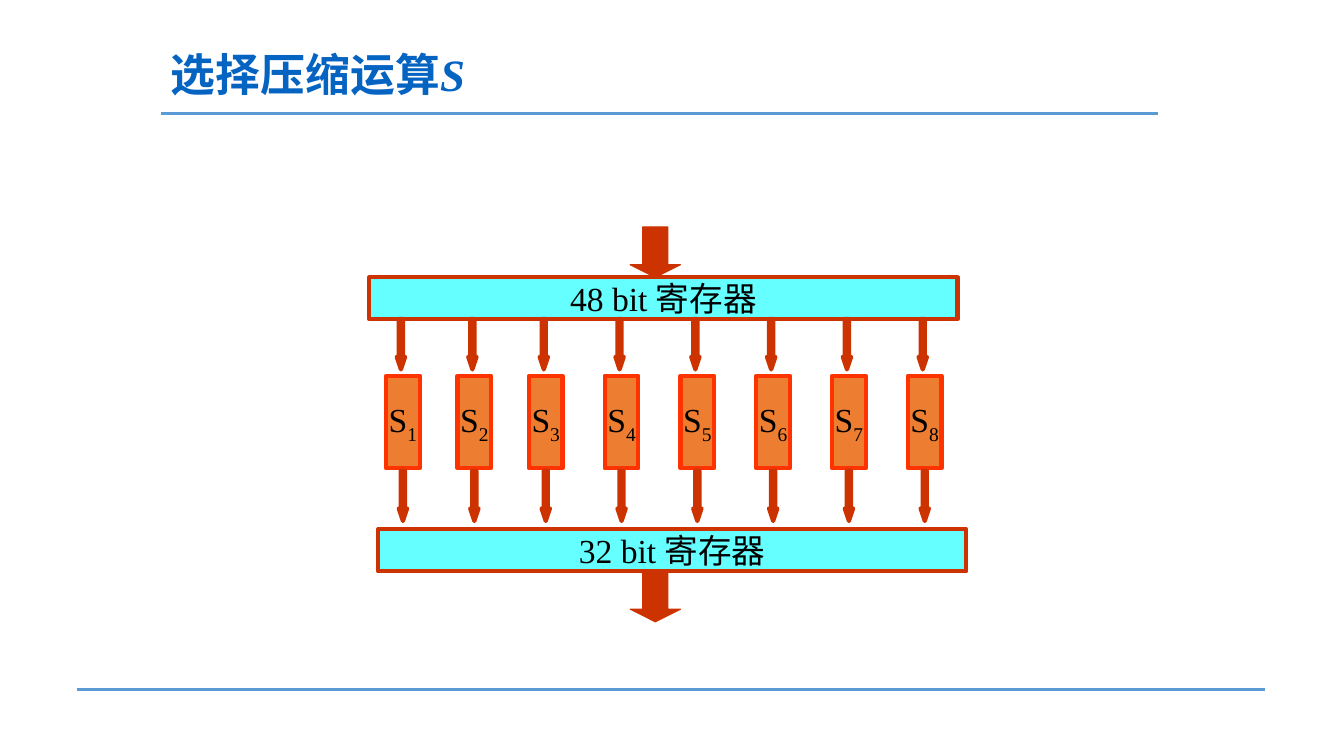
from dataclasses import dataclass

from lxml.etree import SubElement
from pptx import Presentation
from pptx.dml.color import RGBColor
from pptx.enum.shapes import MSO_CONNECTOR, MSO_SHAPE
from pptx.enum.text import MSO_ANCHOR, PP_ALIGN
from pptx.oxml.ns import qn
from pptx.util import Cm, Pt


@dataclass(frozen=True)
class Theme:
    font: str = "Times New Roman"
    title_color: str = "0563C1"
    text_color: str = "000000"
    rule_color: str = "5B9BD5"
    register_fill: str = "66FFFF"
    register_line: str = "CC3300"
    s_box_fill: str = "ED7D31"
    s_box_line: str = "FF3300"
    title_size: float = 32
    body_size: float = 24
    rule_width: float = 2.25
    thick_line: float = 3
    thin_line: float = 0.75


def add_text(paragraph, text, *, font, size, color, bold=False, italic=False, baseline=None):
    run = paragraph.add_run()
    run.text = text
    run.font.name = font
    run.font.size = Pt(size)
    run.font.color.rgb = RGBColor.from_string(color)
    run.font.bold = bold
    run.font.italic = italic
    if baseline is not None:
        run.font._element.set("baseline", str(baseline))


class SlideBuilder:
    def __init__(self, slide, theme):
        self.slide = slide
        self.theme = theme

    def title(self, text, symbol, left, top, width, height):
        box = self.slide.shapes.add_textbox(Cm(left), Cm(top), Cm(width), Cm(height))
        frame = box.text_frame
        frame.word_wrap = True
        frame.vertical_anchor = MSO_ANCHOR.MIDDLE
        paragraph = frame.paragraphs[0]
        paragraph.line_spacing = 0.9
        style = dict(font=self.theme.font, size=self.theme.title_size,
                     color=self.theme.title_color, bold=True)
        add_text(paragraph, text, **style)
        add_text(paragraph, symbol, italic=True, **style)

    def rule(self, left, right, y):
        line = self.slide.shapes.add_connector(
            MSO_CONNECTOR.STRAIGHT, Cm(left), Cm(y), Cm(right), Cm(y))
        line.line.color.rgb = RGBColor.from_string(self.theme.rule_color)
        line.line.width = Pt(self.theme.rule_width)
        SubElement(line._element.spPr, qn("a:effectLst"))

    def shape(self, kind, left, top, width, height, fill, line, line_width):
        shape = self.slide.shapes.add_shape(kind, Cm(left), Cm(top), Cm(width), Cm(height))
        shape.shadow.inherit = False
        shape.fill.solid()
        shape.fill.fore_color.rgb = RGBColor.from_string(fill)
        shape.line.color.rgb = RGBColor.from_string(line)
        shape.line.width = Pt(line_width)
        return shape

    def box(self, text, left, top, width, height, fill, line, subscript=None):
        shape = self.shape(MSO_SHAPE.RECTANGLE, left, top, width, height,
                           fill, line, self.theme.thick_line)
        frame = shape.text_frame
        frame.word_wrap = False
        frame.vertical_anchor = MSO_ANCHOR.MIDDLE
        paragraph = frame.paragraphs[0]
        paragraph.alignment = PP_ALIGN.CENTER
        style = dict(font=self.theme.font, size=self.theme.body_size,
                     color=self.theme.text_color)
        add_text(paragraph, text, **style)
        if subscript:
            add_text(paragraph, subscript, baseline=-25000, **style)

    def register(self, text, left, top):
        self.box(text, left, top, 14.82, 1.06,
                 self.theme.register_fill, self.theme.register_line)

    def s_box(self, number, left, top):
        self.box("S", left, top, 0.85, 2.33, self.theme.s_box_fill,
                 self.theme.s_box_line, subscript=str(number))

    def arrow(self, left, top, width, head, line_width):
        color = self.theme.register_line
        arrow = self.shape(MSO_SHAPE.DOWN_ARROW, left, top, width, 1.27,
                           color, color, line_width)
        arrow.adjustments[0] = 0.5
        arrow.adjustments[1] = head

    def bit_arrow(self, left, top):
        self.arrow(left, top, 0.21, 1.5, self.theme.thick_line)

    def block_arrow(self, left, top):
        self.arrow(left, top, 1.27, 0.25, self.theme.thin_line)


def main():
    presentation = Presentation()
    presentation.slide_width = Cm(33.87)
    presentation.slide_height = Cm(19.05)
    slide = presentation.slides.add_slide(presentation.slide_layouts[6])
    builder = SlideBuilder(slide, Theme())

    # Title and rules
    builder.rule(4.06, 29.18, 2.86)
    builder.rule(1.93, 31.88, 17.37)
    builder.title("选择压缩运算", "S", 4.06, 1.02, 25.1, 1.85)

    # Input and output registers
    builder.register("48 bit 寄存器", 9.31, 6.99)
    builder.register("32 bit 寄存器", 9.53, 13.34)

    # S-boxes, each with an arrow in and an arrow out
    narrow_part = [9.73 + 1.8 * step for step in range(3)]
    wide_part = [narrow_part[-1] + 1.91 * step for step in range(1, 6)]
    for number, left in enumerate(narrow_part + wide_part, start=1):
        builder.s_box(number, left, 9.47)
        builder.bit_arrow(left + 0.27, 8.04)
        builder.bit_arrow(left + 0.32, 11.86)

    # Arrows into and out of the whole stage
    for top in (5.72, 14.4):
        builder.block_arrow(15.88, top)

    presentation.save("out.pptx")


if __name__ == "__main__":
    main()
